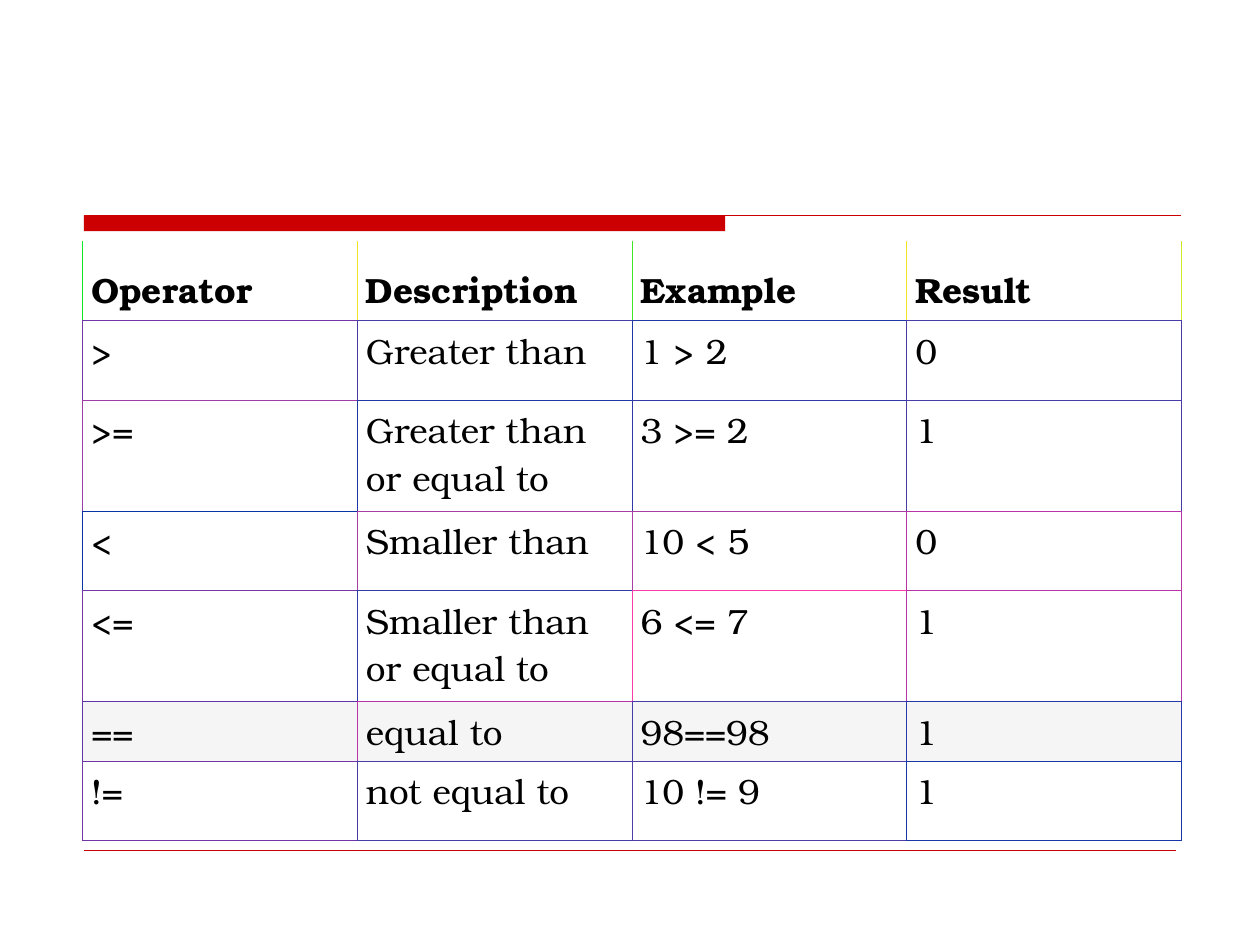
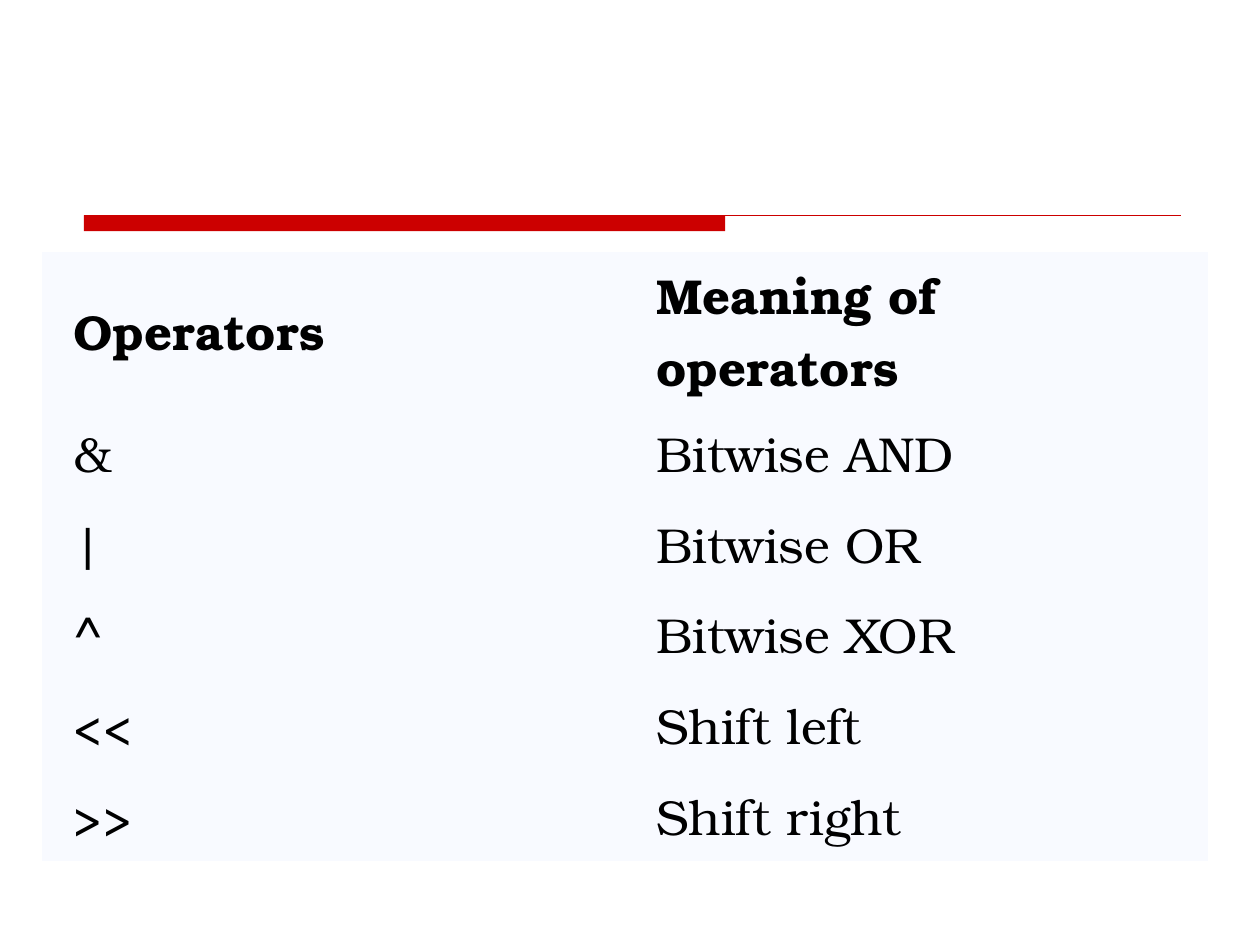
from dataclasses import dataclass

from lxml.etree import SubElement
from pptx import Presentation
from pptx.dml.color import RGBColor
from pptx.enum.shapes import MSO_CONNECTOR, MSO_SHAPE
from pptx.enum.text import MSO_ANCHOR
from pptx.oxml import parse_xml
from pptx.oxml.ns import nsdecls, qn
from pptx.slide import Slide
from pptx.table import Table, _Cell
from pptx.util import Emu, Pt

PX = 4572
FONT = "TeX Gyre Bonum"
NO_STYLE = "{2D5ABB26-0587-4C30-8999-92F81FD0307C}"
RED = RGBColor(0xCC, 0x00, 0x00)
BLACK = RGBColor(0x00, 0x00, 0x00)
WHITE = RGBColor(0xFF, 0xFF, 0xFF)
GREY = RGBColor(0xF5, 0xF5, 0xF5)
PALE_BLUE = RGBColor(0xF8, 0xFA, 0xFF)
HEADER_RIGHT = RGBColor(0xD0, 0xE8, 0x26)
WIDE, THIN = 0.45, 0.34

BORDER_COLOURS = [
    [RGBColor.from_string(c) for c in row.split()]
    for row in (
        "10E826 F0E626 40E526 F0E626",
        "7036A6 483CA6 2037A6 483CA6",
        "A03CA6 2037A6 3039A6 483CA6",
        "0834A6 A83DA6 A83DA6 B834A6",
        "7837A6 3039A6 F83CA6 B834A6",
        "6034A6 B834A6 483CA6 2838A6",
        "7036A6 483CA6 503DA6 1836A6",
    )
]


@dataclass(frozen=True)
class Rule:
    left: int
    right: int
    y: int
    weight: float


@dataclass(frozen=True)
class Grid:
    left: int
    top: int
    cols: list[int]
    heights: list[int]
    rows: list[tuple[str, ...]]
    fills: list[RGBColor]
    size: int
    inset: int
    header_anchor: MSO_ANCHOR
    body_anchor: MSO_ANCHOR


RULES = [Rule(133, 1874, 342, 1), Rule(133, 1866, 1350, 0.25)]

RELATIONAL = Grid(
    131, 383, [436] * 4, [126, 126, 176, 126, 176, 95, 126],
    [
        ("Operator", "Description", "Example", "Result"),
        (">", "Greater than", "1 > 2", "0"),
        (">=", "Greater than or equal to", "3 >= 2", "1"),
        ("<", "Smaller than", "10 < 5", "0"),
        ("<=", "Smaller than or equal to", "6 <= 7", "1"),
        ("==", "equal to", "98==98", "1"),
        ("!=", "not equal to", "10 != 9", "1"),
    ],
    [WHITE] * 5 + [GREY, WHITE], 20, 14, MSO_ANCHOR.BOTTOM, MSO_ANCHOR.TOP,
)

BITWISE = Grid(
    67, 400, [925, 925], [236] + [144] * 5,
    [
        ("Operators", "Meaning of operators"),
        ("&", "Bitwise AND"),
        ("|", "Bitwise OR"),
        ("^", "Bitwise XOR"),
        ("<<", "Shift left"),
        (">>", "Shift right"),
    ],
    [PALE_BLUE] * 6, 28, 50, MSO_ANCHOR.MIDDLE, MSO_ANCHOR.MIDDLE,
)


def px(n: int) -> Emu:
    return Emu(n * PX)


def draw_rule(s: Slide, rule: Rule) -> None:
    line = s.shapes.add_connector(
        MSO_CONNECTOR.STRAIGHT, px(rule.left), px(rule.y), px(rule.right), px(rule.y)
    )
    line.line.color.rgb = RED
    line.line.width = Pt(rule.weight)
    SubElement(line._element.spPr, qn("a:effectLst"))


def draw_frame(s: Slide) -> None:
    bar = s.shapes.add_shape(MSO_SHAPE.RECTANGLE, px(133), px(342), px(1018), px(25))
    bar.shadow.inherit = False
    bar.fill.solid()
    bar.fill.fore_color.rgb = RED
    bar.line.fill.background()
    for rule in RULES:
        draw_rule(s, rule)


def fill_cell(cell: _Cell, text: str, grid: Grid, row: int) -> None:
    cell.fill.solid()
    cell.fill.fore_color.rgb = grid.fills[row]
    cell.margin_left = cell.margin_right = px(grid.inset)
    cell.margin_top = cell.margin_bottom = px(10)
    cell.vertical_anchor = grid.body_anchor if row else grid.header_anchor
    p = cell.text_frame.paragraphs[0]
    p.text = text
    p.font.name = FONT
    p.font.size = Pt(grid.size)
    p.font.bold = row == 0
    p.font.color.rgb = BLACK


def draw_grid(s: Slide, grid: Grid) -> Table:
    frame = s.shapes.add_table(
        len(grid.rows), len(grid.cols), px(grid.left), px(grid.top),
        px(sum(grid.cols)), px(sum(grid.heights)),
    )
    table = frame.table
    table.first_row = table.horz_banding = False
    table._tbl.tblPr.find(qn("a:tableStyleId")).text = NO_STYLE
    for column, width in zip(table.columns, grid.cols):
        column.width = px(width)
    for r, (height, texts) in enumerate(zip(grid.heights, grid.rows)):
        table.rows[r].height = px(height)
        for c, text in enumerate(texts):
            fill_cell(table.cell(r, c), text, grid, r)
    return table


def set_borders(cell: _Cell, borders: dict[str, tuple[RGBColor, float]]) -> None:
    tcPr = cell._tc.get_or_add_tcPr()
    for i, (side, (colour, weight)) in enumerate(borders.items()):
        tcPr.insert(i, parse_xml(
            f'<a:ln{side} {nsdecls("a")} w="{Pt(weight)}"><a:solidFill>'
            f'<a:srgbClr val="{colour}"/></a:solidFill></a:ln{side}>'
        ))


def draw_borders(table: Table, colours: list[list[RGBColor]]) -> None:
    for r, row in enumerate(colours):
        below = colours[min(r + 1, len(colours) - 1)]
        for c, own in enumerate(row):
            if c + 1 < len(row):
                right = (row[c + 1], WIDE)
            else:
                right = (own if r else HEADER_RIGHT, THIN)
            borders = {"L": (own, WIDE), "R": right}
            if r:
                borders["T"] = (own, THIN)
            borders["B"] = (below[c], THIN)
            set_borders(table.cell(r, c), borders)


def main() -> None:
    prs = Presentation()
    prs.slide_width, prs.slide_height = px(2000), px(1500)
    tables = []
    for grid in (RELATIONAL, BITWISE):
        s = prs.slides.add_slide(prs.slide_layouts[6])
        draw_frame(s)
        tables.append(draw_grid(s, grid))
    draw_borders(tables[0], BORDER_COLOURS)
    prs.save("out.pptx")


if __name__ == "__main__":
    main()
